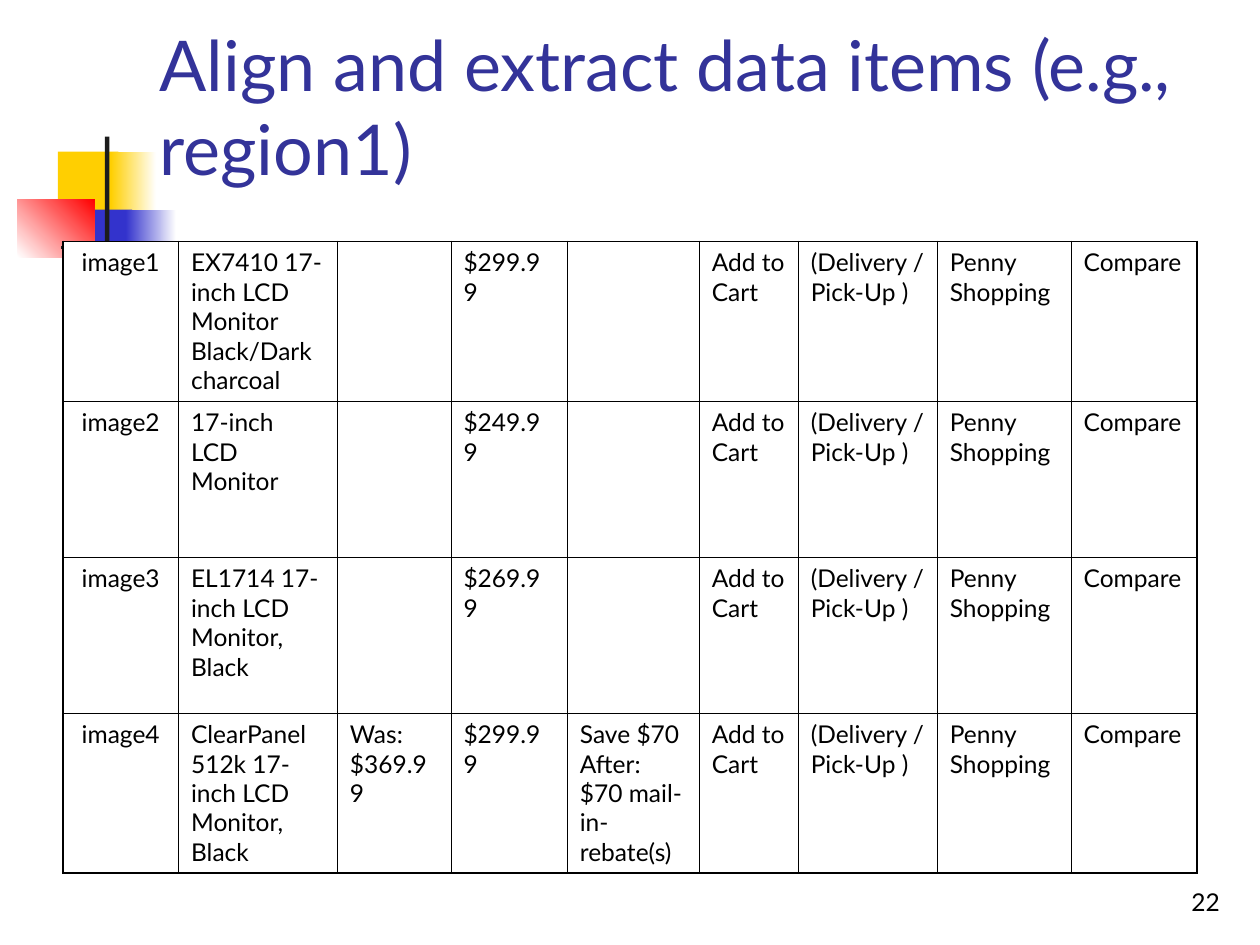
from dataclasses import dataclass
from typing import Optional

from lxml import etree
from pptx import Presentation
from pptx.dml.color import RGBColor
from pptx.enum.shapes import MSO_SHAPE
from pptx.enum.text import MSO_ANCHOR, PP_ALIGN
from pptx.oxml.ns import qn
from pptx.util import Pt

RECTANGLE = MSO_SHAPE.RECTANGLE
BOTTOM = MSO_ANCHOR.BOTTOM
TOP = MSO_ANCHOR.TOP
LEFT, CENTER, RIGHT = PP_ALIGN.LEFT, PP_ALIGN.CENTER, PP_ALIGN.RIGHT

FONT = "Lato"
COLORS = {
    "white": "FFFFFF",
    "black": "000000",
    "yellow": "FFCF01",
    "blue": "3333CC",
    "red": "FF0000",
    "charcoal": "1C1C1C",
    "title": "333399",
}
THIN, THICK = 0.45, 1.08
INSET_X, INSET_Y = 7.2, 3.6
TABLE_LEFT, TABLE_TOP = 36, 138
COLUMN_WIDTHS = [66, 90.8, 64.9, 66.5, 75.4, 56.6, 79.5, 76.5, 71.8]
ROW_HEIGHTS = [91.4, 89.1, 89.1, 91.4]


@dataclass
class Block:
    left: float
    top: float
    width: float
    height: float
    color: str
    fade_to: Optional[str] = None
    angle: float = 0


@dataclass
class Label:
    left: float
    top: float
    width: float
    height: float
    text: str
    size: float
    color: str
    align: PP_ALIGN


@dataclass
class Product:
    image: str
    name: str
    price: str
    was: str = ""
    saving: str = ""

    def cells(self) -> list[str]:
        return [self.image, self.name, self.was, self.price, self.saving,
                "Add to Cart", "(Delivery / Pick-Up )", "Penny Shopping", "Compare"]


BLOCKS = [
    Block(33.1, 86.6, 34.6, 37.4, "yellow"),
    Block(63.4, 86.6, 25.9, 37.4, "yellow", "white"),
    Block(42.5, 119.8, 33.1, 37.4, "blue"),
    Block(72, 119.8, 28.8, 37.4, "blue", "white"),
    Block(10.1, 113.8, 43.9, 33.1, "white", "red", 45),
    Block(60, 78.1, 2.5, 82.8, "charcoal"),
    Block(34.6, 140.4, 648, 2.2, "charcoal", "white"),
]

LABELS = [
    Label(554.4, 491.5, 149.8, 36, "22", 14, "black", RIGHT),
    Label(84.2, 21.6, 625, 90, "Align and extract data items (e.g., region1)",
          40, "title", LEFT),
]

PRODUCTS = [
    Product("image1", "EX7410 17-inch LCD Monitor Black/Dark charcoal", "$299.99"),
    Product("image2", "17-inch LCD Monitor", "$249.99"),
    Product("image3", "EL1714 17-inch LCD Monitor, Black", "$269.99"),
    Product("image4", "ClearPanel 512k 17-inch LCD Monitor, Black", "$299.99",
            "Was: $369.99", "Save $70 After: $70 mail-in-rebate(s)"),
]


def rgb(name: str) -> RGBColor:
    return RGBColor.from_string(COLORS[name])


def add_block(page, block: Block) -> None:
    shape = page.shapes.add_shape(RECTANGLE, Pt(block.left), Pt(block.top),
                                  Pt(block.width), Pt(block.height))
    shape.shadow.inherit = False
    shape.line.fill.background()
    if block.fade_to is None:
        shape.fill.solid()
        shape.fill.fore_color.rgb = rgb(block.color)
        return
    shape.fill.gradient()
    shape.fill.gradient_angle = block.angle
    for stop, color in zip(shape.fill.gradient_stops, (block.color, block.fade_to)):
        stop.color.rgb = rgb(color)


def write_text(para, text: str, size: float, color: str, align: PP_ALIGN) -> None:
    para.alignment = align
    span = para.add_run()
    span.text = text
    span.font.name = FONT
    span.font.size = Pt(size)
    span.font.color.rgb = rgb(color)


def set_insets(frame) -> None:
    frame.margin_left = frame.margin_right = Pt(INSET_X)
    frame.margin_top = frame.margin_bottom = Pt(INSET_Y)


def add_label(page, label: Label) -> None:
    box = page.shapes.add_textbox(Pt(label.left), Pt(label.top),
                                  Pt(label.width), Pt(label.height))
    frame = box.text_frame
    frame.word_wrap = True
    frame.vertical_anchor = BOTTOM
    set_insets(frame)
    write_text(frame.paragraphs[0], label.text, label.size, label.color, label.align)


def add_border(cell, side: str, width: float) -> None:
    properties = cell._tc.get_or_add_tcPr()
    line = etree.SubElement(properties, qn(f"a:ln{side}"), w=str(int(Pt(width))))
    fill = etree.SubElement(line, qn("a:solidFill"))
    etree.SubElement(fill, qn("a:srgbClr"), val=COLORS["black"])


def add_product_table(page, products: list[Product]) -> None:
    last_row, last_column = len(products) - 1, len(COLUMN_WIDTHS) - 1
    table = page.shapes.add_table(
        len(products), len(COLUMN_WIDTHS), Pt(TABLE_LEFT), Pt(TABLE_TOP),
        Pt(sum(COLUMN_WIDTHS)), Pt(sum(ROW_HEIGHTS))).table
    table.first_row = False
    table.horz_banding = False
    for column, width in zip(table.columns, COLUMN_WIDTHS):
        column.width = Pt(width)
    for row, height in zip(table.rows, ROW_HEIGHTS):
        row.height = Pt(height)
    for row_index, product in enumerate(products):
        for column_index, text in enumerate(product.cells()):
            cell = table.cell(row_index, column_index)
            set_insets(cell)
            cell.vertical_anchor = TOP
            outer_sides = {
                "L": column_index == 0,
                "R": column_index == last_column,
                "T": row_index == 0,
                "B": row_index == last_row,
            }
            for side, is_outer in outer_sides.items():
                add_border(cell, side, THICK if is_outer else THIN)
            cell.fill.solid()
            cell.fill.fore_color.rgb = rgb("white")
            if text:
                write_text(cell.text_frame.paragraphs[0], text, 14, "black",
                           CENTER if column_index == 0 else LEFT)


def main() -> None:
    deck = Presentation()
    deck.slide_width, deck.slide_height = Pt(720), Pt(540)
    page = deck.slides.add_slide(deck.slide_layouts[6])
    for block in BLOCKS:
        add_block(page, block)
    for label in LABELS:
        add_label(page, label)
    add_product_table(page, PRODUCTS)
    deck.save("out.pptx")


if __name__ == "__main__":
    main()
